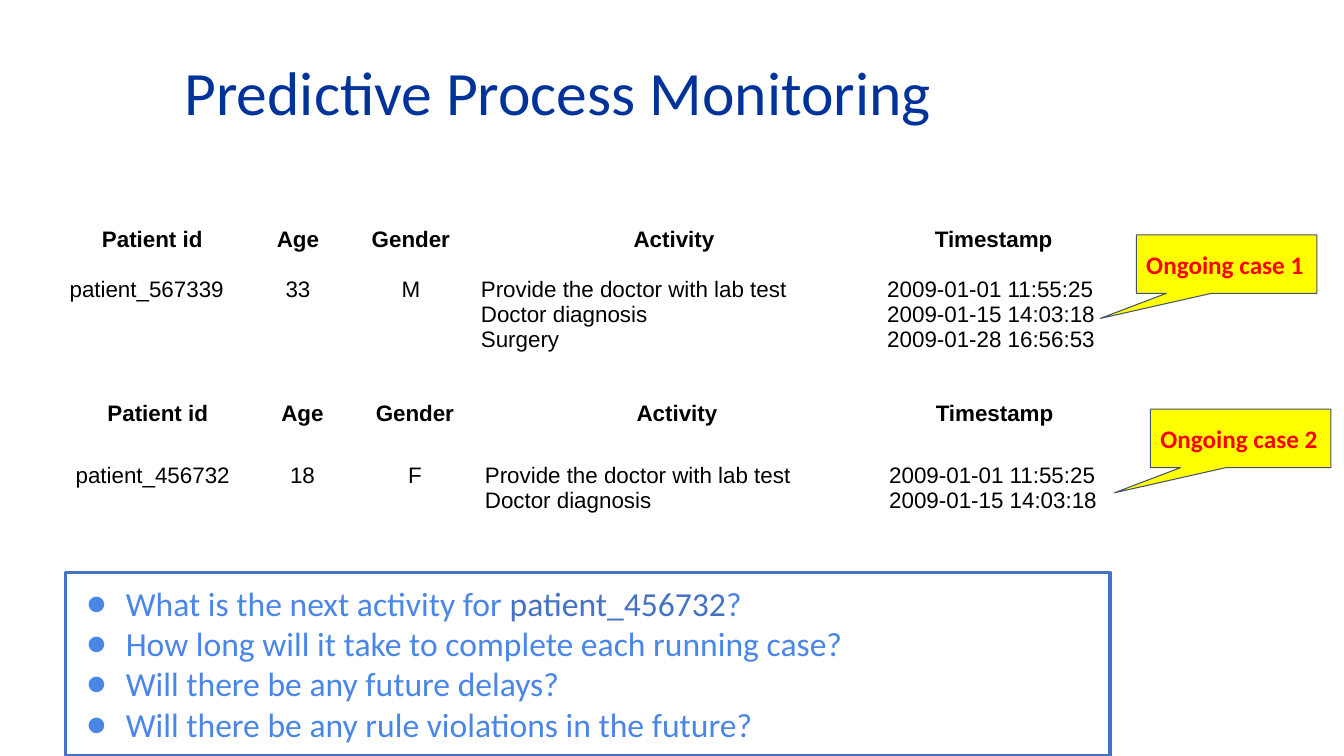
from dataclasses import dataclass

from lxml import etree
from pptx import Presentation
from pptx import util as u
from pptx.dml import color
from pptx.enum import shapes, text
from pptx.oxml import ns

PX = 9144  # EMU in one px, 100 px to the inch
PAD = 10
FRAME = 328  # side of the square frame that holds each table


@dataclass(frozen=True)
class Theme:
    head: str = "003399"
    ink: str = "000000"
    ask: str = "4A86E8"
    frame: str = "4472C4"
    alert: str = "FF0000"
    note: str = "FFFF00"
    edge: str = "44546A"
    sans: str = "Calibri"
    grid: str = "Arial"
    title: int = 44
    cell: int = 16
    body: int = 24
    label: int = 18


@dataclass(frozen=True)
class Box:
    left: int
    top: int
    width: int
    height: int

    def emu(self) -> list[int]:
        return [n * PX for n in (self.left, self.top, self.width, self.height)]


@dataclass(frozen=True)
class Case:
    left: int
    top: int
    cols: tuple[int, ...]
    rows: tuple[int, int]
    cells: tuple[str, ...]
    label: str
    note: Box


THEME = Theme()
HEADS = ("Patient id", "Age", "Gender", "Activity", "Timestamp")
CENTRED = ("Age", "Gender")
CASES = (
    Case(59, 216, (184, 105, 119, 403, 231), (49, 97),
         ("patient_567339", "33", "M",
          "Provide the doctor with lab test\nDoctor diagnosis\nSurgery",
          "2009-01-01 11:55:25\n2009-01-15 14:03:18\n2009-01-28 16:56:53"),
         "Ongoing case 1", Box(1127, 233, 179, 58)),
    Case(65, 388, (183, 104, 119, 401, 229), (62, 93),
         ("patient_456732", "18", "F",
          "Provide the doctor with lab test\nDoctor diagnosis",
          "2009-01-01 11:55:25\n2009-01-15 14:03:18"),
         "Ongoing case 2", Box(1141, 406, 179, 58)),
)
ASKS = (
    ("What is the next activity for ", "patient_456732", "?"),
    ("How long will it take to complete each running case?",),
    ("Will there be any future delays?",),
    ("Will there be any rule violations in the future?",),
)


def rgb(code: str) -> color.RGBColor:
    return color.RGBColor.from_string(code)


def style(run, face: str, size: int, code: str, bold: bool = False) -> None:
    run.font.name = face
    run.font.size = u.Pt(size)
    run.font.bold = bold
    run.font.color.rgb = rgb(code)


def pad(item) -> None:
    """Give a cell or text frame even margins."""
    item.margin_left = item.margin_right = PAD * PX
    item.margin_top = item.margin_bottom = PAD * PX


def add_box(slide, kind, box: Box, line: str, width: float):
    """Add an outlined shape with a padded, wrapping text frame."""
    shape = slide.shapes.add_shape(kind, *box.emu())
    shape.shadow.inherit = False
    shape.line.color.rgb = rgb(line)
    shape.line.width = u.Pt(width)
    shape.text_frame.word_wrap = True
    pad(shape.text_frame)
    return shape


def add_title(slide, words: str) -> None:
    title = slide.shapes.title
    title.left, title.top, title.width, title.height = Box(173, 48, 980, 53).emu()
    frame = title.text_frame
    frame.text = words
    frame.auto_size = text.MSO_AUTO_SIZE.NONE
    frame.vertical_anchor = text.MSO_ANCHOR.TOP
    frame.paragraphs[0].alignment = text.PP_ALIGN.LEFT
    style(frame.paragraphs[0].runs[0], THEME.sans, THEME.title, THEME.head)


def add_case(slide, case: Case) -> None:
    """Add the table of one case."""
    area = Box(case.left, case.top, FRAME, FRAME)
    holder = slide.shapes.add_table(2, len(HEADS), *area.emu())
    table = holder.table
    table.first_row = table.horz_banding = False
    for col, width in zip(table.columns, case.cols):
        col.width = width * PX
    for row, height in zip(table.rows, case.rows):
        row.height = height * PX
    holder.width = holder.height = FRAME * PX
    for r, words in enumerate((HEADS, case.cells)):
        for c, word in enumerate(words):
            cell = table.cell(r, c)
            cell.fill.background()
            pad(cell)
            cell.text_frame.text = word
            mid = r == 0 or HEADS[c] in CENTRED
            for para in cell.text_frame.paragraphs:
                para.alignment = text.PP_ALIGN.CENTER if mid else text.PP_ALIGN.LEFT
                style(para.runs[0], THEME.grid, THEME.cell, THEME.ink, r == 0)


def add_note(slide, case: Case) -> None:
    """Add the callout that points at a case."""
    note = add_box(slide, shapes.MSO_SHAPE.RECTANGULAR_CALLOUT, case.note,
                   THEME.edge, 0.75)
    note.adjustments[0], note.adjustments[1] = -0.7, 0.93
    note.fill.solid()
    note.fill.fore_color.rgb = rgb(THEME.note)
    frame = note.text_frame
    frame.text = case.label
    frame.vertical_anchor = text.MSO_ANCHOR.MIDDLE
    frame.paragraphs[0].alignment = text.PP_ALIGN.LEFT
    style(frame.paragraphs[0].runs[0], THEME.sans, THEME.label, THEME.alert, True)


def add_dot(para) -> None:
    """Turn a paragraph into a bullet with a hanging indent."""
    props = para._p.get_or_add_pPr()
    props.set("marL", str(50 * PX))
    props.set("indent", str(-39 * PX))
    tint = etree.SubElement(props, ns.qn("a:buClr"))
    etree.SubElement(tint, ns.qn("a:srgbClr"), val=THEME.ask)
    etree.SubElement(props, ns.qn("a:buFont"), typeface=THEME.sans)
    etree.SubElement(props, ns.qn("a:buChar"), char="●")


def add_asks(slide) -> None:
    """Add the framed list of questions."""
    panel = add_box(slide, shapes.MSO_SHAPE.RECTANGLE, Box(65, 568, 1036, 182),
                    THEME.frame, 2.25)
    panel.fill.background()
    frame = panel.text_frame
    frame.auto_size = text.MSO_AUTO_SIZE.SHAPE_TO_FIT_TEXT
    frame.vertical_anchor = text.MSO_ANCHOR.TOP
    for i, parts in enumerate(ASKS):
        para = frame.add_paragraph() if i else frame.paragraphs[0]
        para.alignment = text.PP_ALIGN.LEFT
        add_dot(para)
        for part in parts:
            run = para.add_run()
            run.text = part
            tint = THEME.frame if part.startswith("patient") else THEME.ask
            style(run, THEME.sans, THEME.body, tint)


def main() -> None:
    deck = Presentation()
    deck.slide_width, deck.slide_height = 1333 * PX, 750 * PX
    slide = deck.slides.add_slide(deck.slide_layouts.get_by_name("Title Only"))
    add_title(slide, "Predictive Process Monitoring")
    for case in CASES:
        add_case(slide, case)
    add_asks(slide)
    for case in CASES:
        add_note(slide, case)
    deck.save("out.pptx")


if __name__ == "__main__":
    main()
